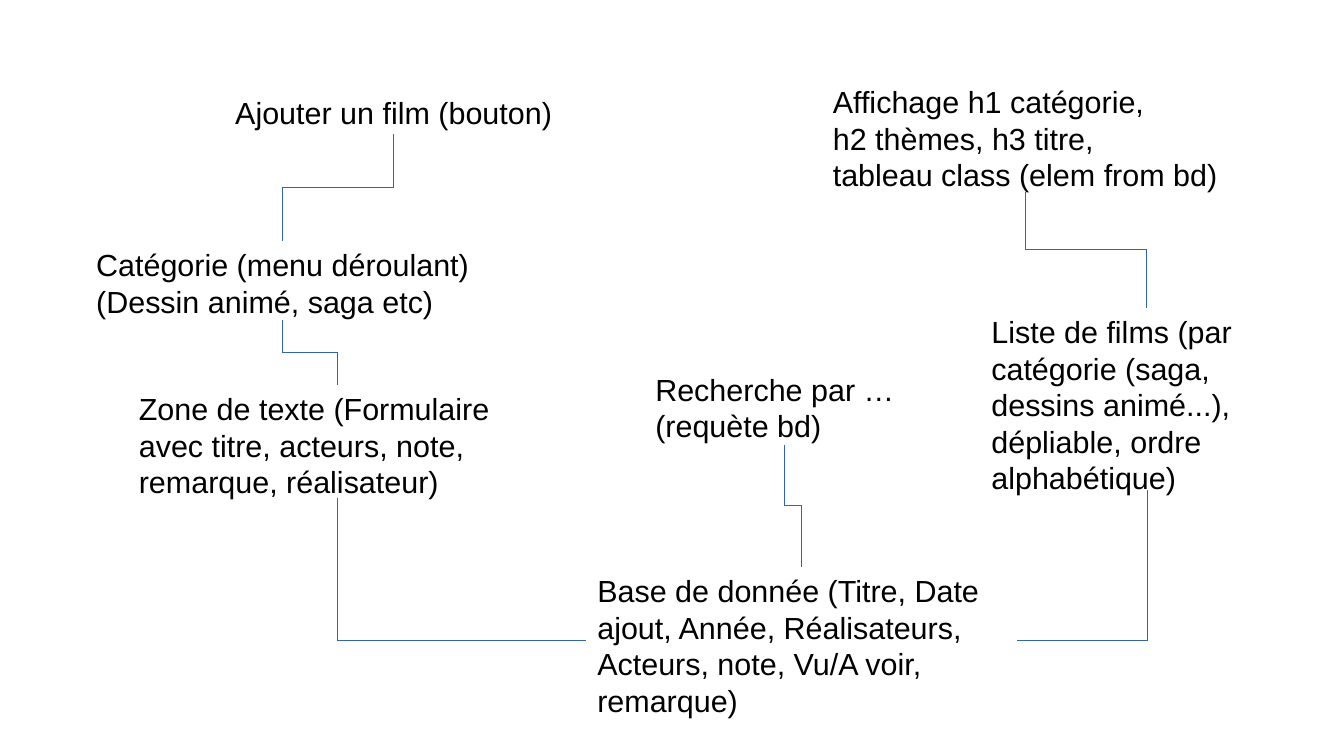
from pptx import Presentation
from pptx.dml.color import RGBColor
from pptx.enum.shapes import MSO_CONNECTOR
from pptx.enum.text import MSO_ANCHOR, MSO_AUTO_SIZE
from pptx.oxml.ns import qn
from pptx.util import Pt
from lxml import etree

ELBOW = MSO_CONNECTOR.ELBOW
TOP = MSO_ANCHOR.TOP
FIT_SHAPE = MSO_AUTO_SIZE.SHAPE_TO_FIT_TEXT
BLANK_LAYOUT = 6
FONT_NAME = "Arial"
FONT_SIZE = 18
TEXT_COLOR = "000000"
LINE_COLOR = "3465A4"


def color(hex_value):
    return RGBColor.from_string(hex_value)


def add_elbow(slide, start, end, preset):
    (x1, y1), (x2, y2) = start, end
    width, height = y2 - y1, abs(x2 - x1)
    left, top = (x1 + x2 - width) / 2, (y1 + y2 - height) / 2
    connector = slide.shapes.add_connector(
        ELBOW, Pt(left), Pt(top), Pt(left + width), Pt(top + height))
    connector.line.color.rgb = color(LINE_COLOR)
    properties = connector._element.spPr
    properties.find(qn("a:ln")).set("w", "0")
    properties.find(qn("a:prstGeom")).set("prst", preset)
    transform = properties.find(qn("a:xfrm"))
    if x2 > x1:
        transform.set("rot", "16200000")
        transform.set("flipH", "1")
    else:
        transform.set("rot", "5400000")
    etree.SubElement(properties, qn("a:effectLst"))


presentation = Presentation()
presentation.slide_width = Pt(793.5)
presentation.slide_height = Pt(446.4)
slide = presentation.slides.add_slide(presentation.slide_layouts[BLANK_LAYOUT])

boxes = {
    "add": (131.8, 51.8, 201.6, 27.4, 0, "Ajouter un film (bouton)"),
    "category": (49.7, 141.8, 234, 47.5, 0,
                 "Catégorie (menu déroulant)\n(Dessin animé, saga etc)"),
    "form": (74.9, 226.8, 248.4, 67.7, 7.2,
             "Zone de texte (Formulaire avec titre, acteurs, note, "
             "remarque, réalisateur)"),
    "database": (345.6, 334.4, 255, 87.8, 7.2,
                 "Base de donnée (Titre, Date ajout, Année, Réalisateurs, "
                 "Acteurs, note, Vu/A voir, remarque)"),
    "list": (578.2, 181.4, 198, 108, 7.2,
             "Liste de films (par catégorie (saga, dessins animé...), "
             "dépliable, ordre alphabétique)"),
    "search": (379.8, 215.3, 167, 47.5, 7.2, "Recherche par … (requète bd)"),
    "display": (484.6, 45.7, 241.2, 67.7, 0,
                "Affichage h1 catégorie,\nh2 thèmes, h3 titre,\n"
                "tableau class (elem from bd)"),
}

anchors = {}
for name, (left, top, width, height, right_margin, text) in boxes.items():
    shape = slide.shapes.add_textbox(Pt(left), Pt(top), Pt(width), Pt(height))
    frame = shape.text_frame
    frame.word_wrap = True
    frame.auto_size = FIT_SHAPE
    frame.vertical_anchor = TOP
    frame.margin_right = Pt(right_margin)
    frame.text = text
    for paragraph in frame.paragraphs:
        for run in paragraph.runs:
            run.font.name = FONT_NAME
            run.font.size = Pt(FONT_SIZE)
            run.font.color.rgb = color(TEXT_COLOR)
    anchors[name] = {
        "top": (left + width / 2, top),
        "bottom": (left + width / 2, top + height),
        "left": (left, top + height / 2),
        "right": (left + width, top + height / 2),
    }

links = [
    ("add", "category", "top"),
    ("category", "form", "top"),
    ("form", "database", "left"),
    ("search", "database", "top"),
    ("display", "list", "top"),
    ("list", "database", "right"),
]
for source, target, side in links:
    preset = "bentConnector3" if side == "top" else "bentConnector2"
    add_elbow(slide, anchors[source]["bottom"], anchors[target][side], preset)

presentation.save("out.pptx")
